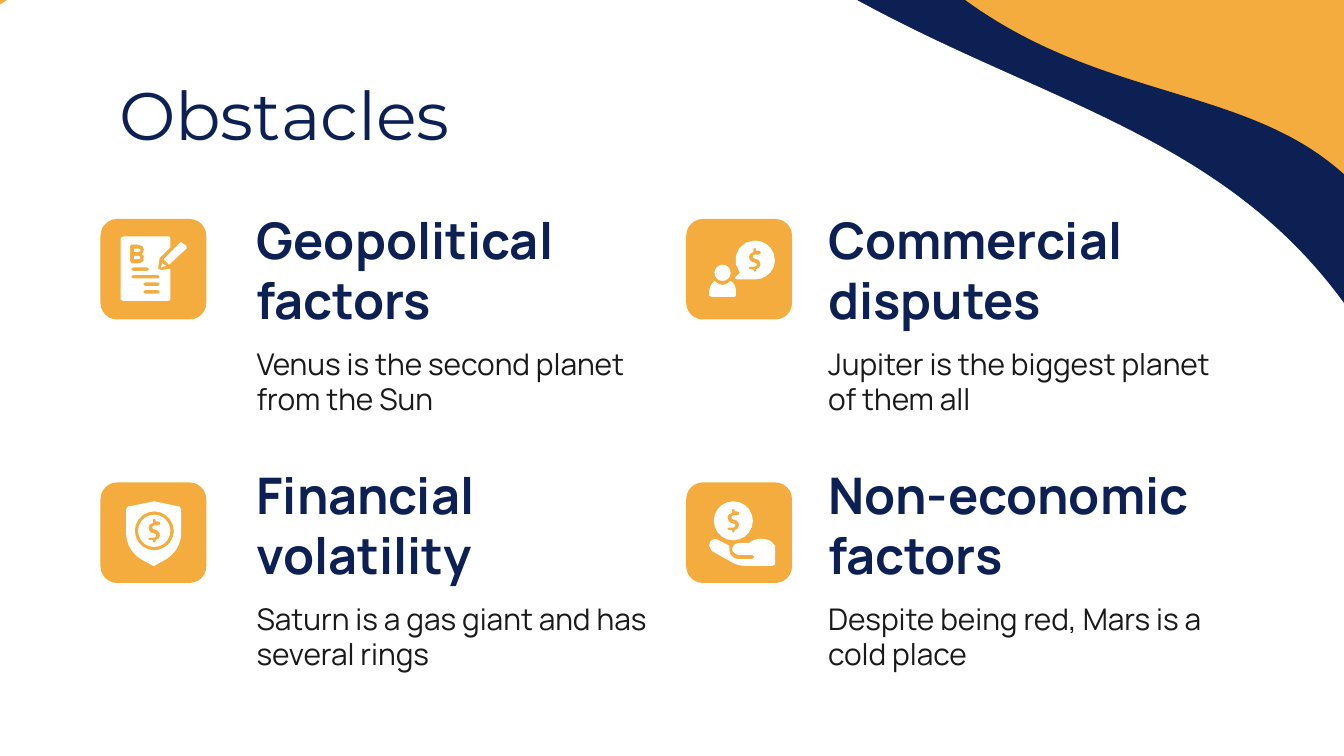
import math
import pptx
import pptx.util
import pptx.dml.color
import pptx.enum.shapes
import pptx.enum.text

Cm = pptx.util.Cm
RGBColor = pptx.dml.color.RGBColor
MSO_SHAPE = pptx.enum.shapes.MSO_SHAPE

NAVY = RGBColor(0x0C, 0x20, 0x54)
ORANGE = RGBColor(0xF3, 0xAC, 0x3D)
WHITE = RGBColor(0xFF, 0xFF, 0xFF)
INK = RGBColor(0x19, 0x19, 0x19)

HEADING = "Obstacles"

WAVES = [
    (8.03, -3.35, 14.4, 22.5, 232.8, NAVY),
    (-5.46, -7.32, 26.19, 36.12, 236.6, WHITE),
]

DOLLAR = (
    "M 0 -9 C 1 -9 1 -8 1 -7 L 3 -7 C 5 -7 5 -4 3 -4 L 0 -4 C -2 -4 -2 -1 0 -1 "
    "C 5 -1 6 6 1 7 L 1 8 C 1 9 1 9 0 9 C -1 9 -1 9 -1 8 L -1 7 L -3 7 "
    "C -5 7 -5 5 -3 5 L 0 5 C 2 5 2 2 0 2 C -5 2 -6 -5 -1 -6 L -1 -7 C -1 -8 -1 -9 0 -9"
)
LETTER_HOLE = "M 25 22 L 25 24.5 L 28 24.5 C 30.5 24.5 30.5 22 28 22"

DOCUMENT = [
    [("path", LETTER_HOLE)],
    [("path", LETTER_HOLE, 0, 5.4)],
    [
        ("path", "M 17 13 L 15 14 L 15 60 L 17 61 L 51 61 L 52 60 L 52 37 L 46 38 "
                 "C 44 38 42 37 43 36 L 44 29 L 52 21 L 52 14 L 51 13"),
        ("path", "M 28 19 C 32 19 34 23 31 26 C 32 27 33 28 32 29 C 33 31 31 33 28 33 "
                 "L 23 33 L 22 31 L 22 20 L 23 19"),
        ("pill", 23, 36, 36),
        ("pill", 23, 44, 41.6),
        ("pill", 32, 44, 47.2),
        ("pill", 32, 44, 52.8),
    ],
    [("path", "M 46 33 L 45 36 L 49 35")],
    [("path", "M 60 17 L 59 18 L 47 30 L 51 34 L 64 22 L 64 20 L 61 18")],
]
SPEECH = [
    [
        ("path", "M 51 16 C 39 16 32 30 40 40 L 37 43 L 36 44 L 38 45 "
                 "L 51 45 C 59 45 66 39 66 31 C 66 22 59 16 51 16"),
        ("path", DOLLAR, 51, 30.5),
    ],
    [("circle", 27, 40, 6)],
    [("path", "M 21 46 C 19 48 17 51 17 54 L 17 57 L 19 58 L 36 58 L 37 57 L 37 54 "
              "C 37 51 36 48 33 46 C 31 48 29 49 27 49 C 25 49 23 48 21 46")],
]
SHIELD = [
    [
        ("path", "M 40 14 L 20 18 L 19 20 L 19 38 C 19 45 23 53 30 57 L 39 62 L 40 62 "
                 "L 49 57 C 56 53 60 45 60 38 L 60 20 L 59 18"),
        ("circle", 40, 36, 14.5),
    ],
    [("circle", 40, 36, 12), ("path", DOLLAR, 40, 36)],
]
HAND = [
    [("circle", 35, 28.5, 14.5), ("path", DOLLAR, 35, 28.5)],
    [("path", "M 55 42 C 52 42 49 43 47 45 L 39 45 C 36 45 34 48 34 50 C 35 52 37 54 39 54 "
              "L 49 54 C 51 54 51 57 49 57 L 39 57 C 35 57 32 54 32 50 L 32 47 "
              "L 24 43 L 22 42 C 19 42 17 44 17 47 L 19 51 L 35 60 "
              "C 37 61 40 62 43 62 L 64 62 L 66 61 L 66 47 L 65 46 C 63 43 60 42 56 42")],
]

OBSTACLES = [
    ("Geopolitical factors", "Venus is the second planet from the Sun", DOCUMENT),
    ("Commercial disputes", "Jupiter is the biggest planet of them all", SPEECH),
    ("Financial volatility", "Saturn is a gas giant and has several rings", SHIELD),
    ("Non-economic factors", "Despite being red, Mars is a cold place", HAND),
]

TILE_LEFTS = [Cm(1.9), Cm(12.97)]
TEXT_LEFTS = [Cm(4.6), Cm(15.4)]
TILE_TOPS = [Cm(4.14), Cm(9.12)]
NAME_TOPS = [Cm(4.04), Cm(8.86)]
TEXT_WIDTH, NAME_HEIGHT, DETAIL_HEIGHT = Cm(7.98), Cm(2.11), Cm(1.35)
DETAIL_DROP = Cm(2.49)
ICON_UNIT = Cm(2.54) / 100


def arc(x, y, radius, start, end, steps):
    angles = [math.radians(start + (end - start) * i / steps) for i in range(steps + 1)]
    return [(x + radius * math.cos(a), y + radius * math.sin(a)) for a in angles]


def circle(x, y, radius):
    return arc(x, y, radius, 0, 360, 20)[:-1]


def pill(left, right, top, radius=1.35):
    y = top + radius
    return arc(right - radius, y, radius, -90, 90, 3) + arc(left + radius, y, radius, 90, 270, 3)


def trace(commands, dx=0, dy=0):
    points, tokens = [], iter(commands.split())
    for command in tokens:
        count = 3 if command == "C" else 1
        knots = [(float(next(tokens)) + dx, float(next(tokens)) + dy) for _ in range(count)]
        if command != "C":
            points += knots
            continue
        a, (b, c, d) = points[-1], knots
        chord = math.dist(a, d)
        steps = 1 if chord < 1.5 else 3 if chord < 8 else 5
        for t in (i / steps for i in range(1, steps + 1)):
            u = 1 - t
            points.append(tuple(
                u**3 * a[k] + 3 * u * u * t * b[k] + 3 * u * t * t * c[k] + t**3 * d[k]
                for k in (0, 1)))
    return points


OUTLINES = {"path": trace, "circle": circle, "pill": pill}


def paint(shape, color):
    shape.fill.solid()
    shape.fill.fore_color.rgb = color
    shape.line.fill.background()
    shape.shadow.inherit = False


def add_icon(shapes, left, top, parts):
    for part in parts:
        contours = [
            [(left + x * ICON_UNIT, top + y * ICON_UNIT) for x, y in OUTLINES[kind](*args)]
            for kind, *args in part
        ]
        builder = shapes.build_freeform(*contours[0][0])
        builder.add_line_segments(contours[0][1:], close=True)
        for contour in contours[1:]:
            builder.move_to(*contour[0])
            builder.add_line_segments(contour[1:], close=True)
        paint(builder.convert_to_shape(), WHITE)


def add_text(shapes, text, left, top, width, height, size, font, color, bold=False):
    frame = shapes.add_textbox(left, top, width, height).text_frame
    frame.word_wrap = True
    frame.vertical_anchor = pptx.enum.text.MSO_ANCHOR.MIDDLE
    frame.margin_left = frame.margin_right = Cm(0.25)
    frame.margin_top = frame.margin_bottom = Cm(0.25)
    paragraph = frame.paragraphs[0]
    paragraph.text = text
    paragraph.font.size = pptx.util.Pt(size)
    paragraph.font.name = font
    paragraph.font.bold = bold
    paragraph.font.color.rgb = color


def main():
    deck = pptx.Presentation()
    deck.slide_width, deck.slide_height = Cm(25.4), Cm(14.29)
    slide = deck.slides.add_slide(deck.slide_layouts[6])
    slide.background.fill.solid()
    slide.background.fill.fore_color.rgb = ORANGE
    shapes = slide.shapes

    for *box, rotation, color in WAVES:
        wave = shapes.add_shape(MSO_SHAPE.FLOWCHART_DOCUMENT, *map(Cm, box))
        wave.rotation = rotation
        paint(wave, color)

    add_text(shapes, HEADING, Cm(2), Cm(1.47), Cm(21.41), Cm(1.35), 36, "Montserrat", NAVY)

    for index, (name, detail, icon) in enumerate(OBSTACLES):
        row, column = divmod(index, 2)
        tile_left, tile_top = TILE_LEFTS[column], TILE_TOPS[row]
        tile = shapes.add_shape(
            MSO_SHAPE.ROUNDED_RECTANGLE, tile_left, tile_top, Cm(2), Cm(1.9))
        paint(tile, ORANGE)
        add_icon(shapes, tile_left, tile_top, icon)
        left, top = TEXT_LEFTS[column], NAME_TOPS[row]
        add_text(shapes, name, left, top, TEXT_WIDTH, NAME_HEIGHT, 27, "Manrope", NAVY, True)
        add_text(shapes, detail, left, top + DETAIL_DROP, TEXT_WIDTH, DETAIL_HEIGHT,
                 16, "Manrope", INK)

    deck.save("out.pptx")


if __name__ == "__main__":
    main()
